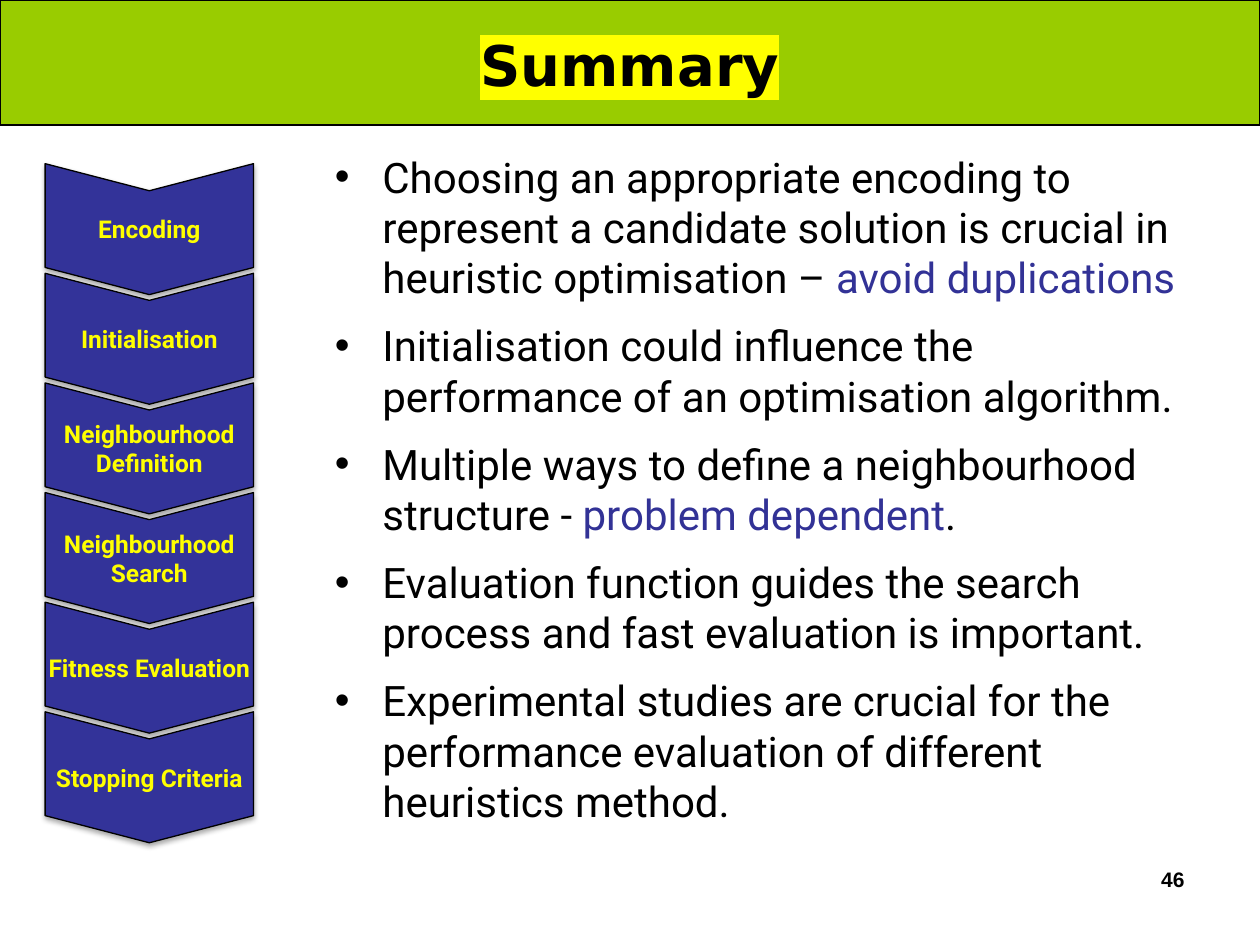
from lxml import etree
from pptx import Presentation
from pptx.dml import color as dml
from pptx.enum import shapes, text
from pptx.oxml import parse_xml
from pptx.oxml.ns import nsdecls, qn
from pptx.util import Cm, Pt


def tint(code):
    return dml.RGBColor.from_string(code)


def style(run, face, size, code, bold=False):
    run.font.name = face
    run.font.size = Pt(size)
    run.font.bold = bold
    run.font.color.rgb = tint(code)


deck = Presentation()
deck.slide_width, deck.slide_height = Cm(25.4), Cm(19.05)
slide = deck.slides.add_slide(deck.slide_layouts[6])
items = slide.shapes

band = items.add_shape(shapes.MSO_SHAPE.RECTANGLE, 0, 0, Cm(25.4), Cm(2.52))
band.shadow.inherit = False
band.fill.solid()
band.fill.fore_color.rgb = tint("99CC00")
band.line.color.rgb = tint("000000")
band.line.width = Pt(0.75)

title = items.add_textbox(Cm(0.9), Cm(0.05), Cm(23.6), Cm(2.49))
frame = title.text_frame
frame.word_wrap = True
frame.vertical_anchor = text.MSO_ANCHOR.MIDDLE
frame.text = "Summary"
para = frame.paragraphs[0]
para.alignment = text.PP_ALIGN.CENTER
run = para.runs[0]
style(run, "DejaVu Sans", 32, "000000", True)
mark = parse_xml(f'<a:highlight {nsdecls("a")}><a:srgbClr val="FFFF00"/></a:highlight>')
run.font.fill
run._r.rPr.find(qn("a:solidFill")).addnext(mark)

points = [
    [("Choosing an appropriate encoding to represent a candidate solution is crucial in heuristic optimisation – ", "000000"),
     ("avoid duplications", "323296")],
    [("Initialisation could influence the performance of an optimisation algorithm.", "000000")],
    [("Multiple ways to define a neighbourhood structure - ", "000000"),
     ("problem dependent", "323296"), (".", "000000")],
    [("Evaluation function guides the search process and fast evaluation is important.", "000000")],
    [("Experimental studies are crucial for the performance evaluation of different heuristics method.", "000000")],
]
body = items.add_textbox(Cm(6.5), Cm(2.92), Cm(17.65), Cm(14.2))
frame = body.text_frame
frame.word_wrap = True
for i, parts in enumerate(points):
    para = frame.add_paragraph() if i else frame.paragraphs[0]
    para.space_before = Pt(10 if i else 0)
    props = para._p.get_or_add_pPr()
    props.set("marL", str(Cm(0.96)))
    props.set("indent", str(Cm(-0.96)))
    etree.SubElement(props, qn("a:buFont")).set("typeface", "Arial")
    etree.SubElement(props, qn("a:buChar")).set("char", "•")
    for words, code in parts:
        run = para.add_run()
        run.text = words
        style(run, "Roboto", 24, code)

page = items.add_textbox(Cm(18.21), Cm(17.35), Cm(5.92), Cm(1.27))
page.text_frame.word_wrap = True
page.text_frame.text = "46"
para = page.text_frame.paragraphs[0]
para.alignment = text.PP_ALIGN.RIGHT
style(para.runs[0], "Arial", 12, "000000", True)

steps = ["Encoding", "Initialisation", "Neighbourhood Definition",
         "Neighbourhood Search", "Fitness Evaluation", "Stopping Criteria"]
shade = (f'<a:effectLst {nsdecls("a")}><a:outerShdw blurRad="{Pt(3.1)}" dist="{Pt(1.8)}" '
         'dir="5400000" rotWithShape="0"><a:srgbClr val="000000"><a:alpha val="35000"/>'
         '</a:srgbClr></a:outerShdw></a:effectLst>')
group = items.add_group_shape()
for i, name in enumerate(steps):
    step = group.shapes.add_shape(shapes.MSO_SHAPE.CHEVRON, Cm(1.69), Cm(2.52 + 2.21 * i), Cm(2.64), Cm(4.2))
    step.rotation = 90
    step.adjustments[0] = 0.207
    step.fill.solid()
    step.fill.fore_color.rgb = tint("333399")
    step.line.color.rgb = tint("000000")
    step.line.width = Pt(0.75)
    step._element.spPr.append(parse_xml(shade))
    frame = step.text_frame
    frame.word_wrap = True
    frame.margin_left = frame.margin_right = frame.margin_top = frame.margin_bottom = 0
    frame.vertical_anchor = text.MSO_ANCHOR.MIDDLE
    frame._txBody.bodyPr.set("vert", "vert270")
    frame.text = name
    para = frame.paragraphs[0]
    para.alignment = text.PP_ALIGN.CENTER
    style(para.runs[0], "Roboto", 14, "FFFF00", True)

deck.save("out.pptx")
